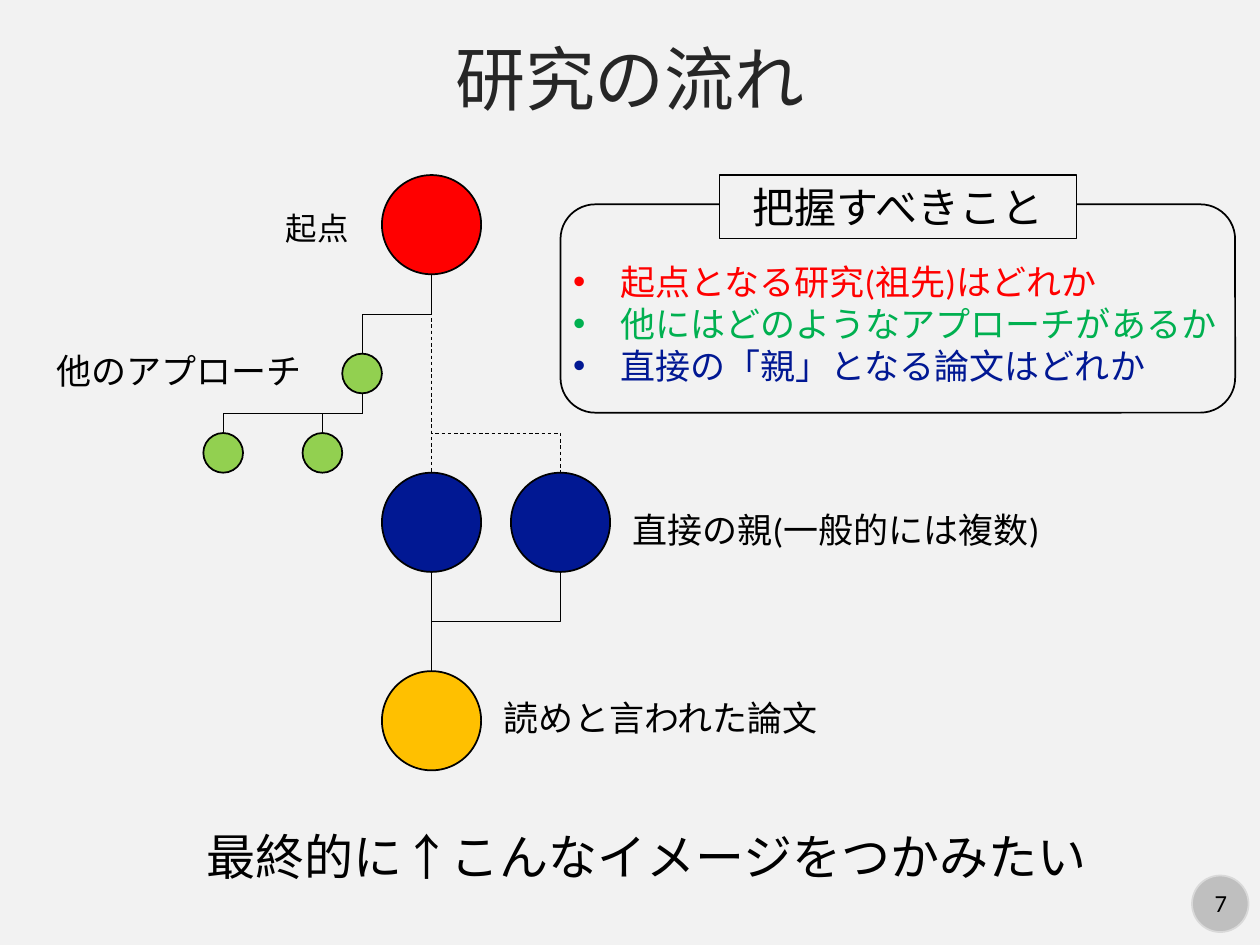
from lxml import etree
from pptx import Presentation
from pptx import util as u
from pptx.dml.color import RGBColor
from pptx.enum import dml, shapes, text
from pptx.oxml.ns import qn

COLORS = {
    "paper": "F2F2F2", "ink": "000000", "title": "262626",
    "origin": "FF0000", "parent": "011893", "other": "92D050",
    "target": "FFC000", "other_text": "00B050",
    "badge": "BFBFBF", "badge_edge": "D9D9D9",
}
SHAPE = shapes.MSO_SHAPE
CENTER = text.PP_ALIGN.CENTER


def rgb(name):
    return RGBColor.from_string(COLORS[name])


class FlowSlide:
    font = "Calibri"

    def __init__(self, prs):
        self.slide = prs.slides.add_slide(prs.slide_layouts[1])
        self.items = self.slide.shapes
        fill = self.slide.background.fill
        fill.solid()
        fill.fore_color.rgb = rgb("paper")

    def style(self, paragraph, size, color="ink", align=None):
        paragraph.alignment = align
        for run in paragraph.runs:
            run.font.name = self.font
            run.font.size = u.Pt(size)
            run.font.color.rgb = rgb(color)

    def place(self, holder, box):
        holder.left, holder.top, holder.width, holder.height = map(u.Cm, box)
        holder.text_frame.auto_size = text.MSO_AUTO_SIZE.NONE

    def title(self, words, box, size):
        title = self.items.title
        self.place(title, box)
        title.text_frame.text = words
        self.style(title.text_frame.paragraphs[0], size, "title", CENTER)

    def bullets(self, lines, box, size):
        body = self.slide.placeholders[1]
        self.place(body, box)
        frame = body.text_frame
        frame.text = "\n".join(words for words, _ in lines)
        for paragraph, (_, color) in zip(frame.paragraphs, lines):
            self.style(paragraph, size, color)
            paragraph.space_before = u.Pt(0)
            props = paragraph._p.get_or_add_pPr()
            props.set("marL", str(u.Cm(0.95)))
            props.set("indent", str(u.Cm(-0.95)))
            etree.SubElement(props, qn("a:buFont"), typeface="Arial")
            etree.SubElement(props, qn("a:buChar"), char="•")

    def label(self, words, box, size, align=None):
        label = self.items.add_textbox(*map(u.Cm, box))
        label.text_frame.word_wrap = True
        label.text_frame.text = words
        self.style(label.text_frame.paragraphs[0], size, align=align)

    def shape(self, kind, box, fill=None, edge="ink", weight=1):
        shape = self.items.add_shape(kind, *map(u.Cm, box))
        shape.shadow.inherit = False
        if fill:
            shape.fill.solid()
            shape.fill.fore_color.rgb = rgb(fill)
        else:
            shape.fill.background()
        shape.line.color.rgb = rgb(edge)
        shape.line.width = u.Pt(weight)
        return shape

    def node(self, x, y, size, fill):
        self.shape(SHAPE.OVAL, (x - size / 2, y - size / 2, size, size), fill)

    def link(self, start, end, dashed=False, bend=0.5):
        """Go down from start, across at the bend, and down to end."""
        (x1, y1), (x2, y2) = start, end
        kind = shapes.MSO_CONNECTOR.STRAIGHT
        ends = (x1, y1, x2, y2)
        if x1 != x2:
            # An elbow starts sideways, so it is laid flat and turned.
            kind = shapes.MSO_CONNECTOR.ELBOW
            mid_x, mid_y = (x1 + x2) / 2, (y1 + y2) / 2
            half_w, half_h = (y2 - y1) / 2, abs(x2 - x1) / 2
            side = 1 if x2 < x1 else -1
            ends = (mid_x - side * half_w, mid_y - half_h,
                    mid_x + side * half_w, mid_y + half_h)
        link = self.items.add_connector(kind, *map(u.Cm, ends))
        props = link._element.spPr
        if x1 != x2:
            turn = 90 if x2 < x1 else 270
            props.find(qn("a:xfrm")).set("rot", str(turn * 60000))
            adjust = props.find(qn("a:prstGeom")).find(qn("a:avLst"))
            etree.SubElement(adjust, qn("a:gd"), name="adj1",
                             fmla=f"val {round(bend * 100000)}")
        link.line.color.rgb = rgb("ink")
        link.line.width = u.Pt(0.5)
        if dashed:
            link.line.dash_style = dml.MSO_LINE.DASH
        etree.SubElement(props, qn("a:effectLst"))


prs = Presentation()
prs.slide_width, prs.slide_height = u.Cm(25.4), u.Cm(19.05)
flow = FlowSlide(prs)

# Title
flow.title("研究の流れ", (0, 0.53, 25.4, 2.08), 40)

# Tree: centres of the nodes
BIG, SMALL = 2, 0.8
origin = (8.7, 4.53)
parents = [(8.7, 10.53), (11.3, 10.53)]
target = (8.7, 14.53)
approach = (7.3, 7.53)
followers = [(6.5, 9.13), (4.5, 9.13)]


def top(node, size):
    return node[0], node[1] - size / 2


def bottom(node, size):
    return node[0], node[1] + size / 2


# Links
flow.link(bottom(origin, BIG), top(approach, SMALL))
for follower in followers:
    flow.link(bottom(approach, SMALL), top(follower, SMALL))
for parent in parents:
    flow.link(bottom(origin, BIG), top(parent, BIG), dashed=True, bend=0.8)
    flow.link(bottom(parent, BIG), top(target, BIG))

# Nodes
flow.node(*origin, BIG, "origin")
for parent in parents:
    flow.node(*parent, BIG, "parent")
flow.node(*target, BIG, "target")
for other in [approach, *followers]:
    flow.node(*other, SMALL, "other")

# Node labels and conclusion
for words, box, size in [
    ("起点", (5.51, 4.09, 1.82, 1.02), 18),
    ("他のアプローチ", (0.89, 6.93, 5.52, 1.11), 20),
    ("直接の親(一般的には複数)", (12.5, 10.13, 8.81, 1.11), 20),
    ("読めと言われた論文", (9.91, 13.92, 6.95, 1.11), 20),
    ("最終的に↑こんなイメージをつかみたい", (3.91, 16.54, 18.47, 1.45), 28),
]:
    flow.label(words, box, size)

# Points to grasp
flow.shape(SHAPE.ROUNDED_RECTANGLE, (11.3, 4.12, 13.6, 4.2))
heading = flow.shape(SHAPE.RECTANGLE, (14.5, 3.53, 7.2, 1.28), "paper", weight=0.75)
heading.text_frame.text = "把握すべきこと"
flow.style(heading.text_frame.paragraphs[0], 24, align=CENTER)
flow.bullets([
    ("起点となる研究(祖先)はどれか", "origin"),
    ("他にはどのようなアプローチがあるか", "other_text"),
    ("直接の「親」となる論文はどれか", "parent"),
], (11.3, 5.13, 13.6, 2.82), 20)

# Page number
flow.shape(SHAPE.OVAL, (24.03, 17.65, 1.14, 1.14), "badge", "badge_edge")
flow.label("7", (24.05, 17.78, 1.12, 0.86), 14, CENTER)

prs.save("out.pptx")
